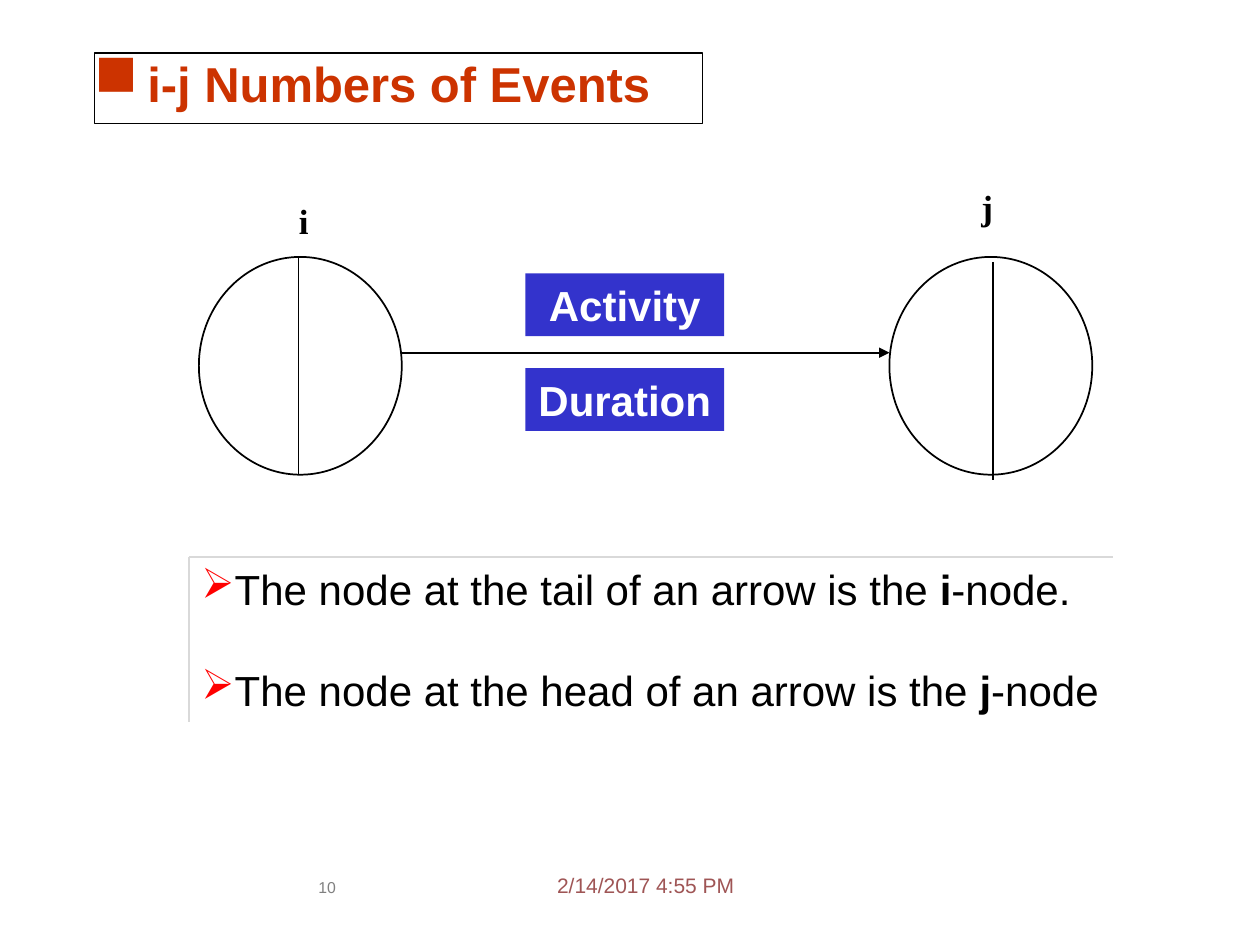
import pptx
import pptx.dml.color
import pptx.enum.shapes
import pptx.enum.text
import pptx.oxml.ns
import pptx.util
from lxml import etree

Cm = pptx.util.Cm
Pt = pptx.util.Pt
RGBColor = pptx.dml.color.RGBColor
Align = pptx.enum.text.PP_ALIGN
Shape = pptx.enum.shapes.MSO_SHAPE
qn = pptx.oxml.ns.qn

BLACK = RGBColor(0x00, 0x00, 0x00)
WHITE = RGBColor(0xFF, 0xFF, 0xFF)
BLUE = RGBColor(0x33, 0x33, 0xCC)
ORANGE = RGBColor(0xCC, 0x33, 0x00)
RED = RGBColor(0xFF, 0x00, 0x00)
ROSE = RGBColor(0x9F, 0x55, 0x55)
GRAY = RGBColor(0x80, 0x80, 0x80)
PALE_GRAY = RGBColor(0xD9, 0xD9, 0xD9)

presentation = pptx.Presentation()
presentation.slide_width = Cm(25.4)
presentation.slide_height = Cm(19.05)
slide = presentation.slides.add_slide(presentation.slide_layouts[6])


def add_box(kind, place, fill=None, line=None, width=0.75, margin=None, wrap=True, paragraphs=()):
    """Add a shape, or a text box if kind is None; paragraphs hold (text, bold) runs and formats."""
    place = [Cm(length) for length in place]
    if kind is None:
        shape = slide.shapes.add_textbox(*place)
    else:
        shape = slide.shapes.add_shape(kind, *place)
        shape.shadow.inherit = False
        if line is None:
            shape.line.fill.background()
        else:
            shape.line.color.rgb = line
            shape.line.width = Pt(width)
    if fill is not None:
        shape.fill.solid()
        shape.fill.fore_color.rgb = fill
    frame = shape.text_frame
    frame.word_wrap = wrap
    frame.vertical_anchor = pptx.enum.text.MSO_ANCHOR.TOP
    if margin is not None:
        for side in ("left", "top", "right", "bottom"):
            setattr(frame, f"margin_{side}", Cm(margin))
    for index, (runs, formats) in enumerate(paragraphs):
        paragraph = frame.add_paragraph() if index else frame.paragraphs[0]
        formats = dict(formats)
        bullet = formats.pop("bullet", None)
        if bullet:
            character, color, percent, indent = bullet
            properties = paragraph._p.get_or_add_pPr()
            properties.set("marL", str(Cm(indent)))
            properties.set("indent", str(-Cm(indent)))
            bullet_color = etree.SubElement(properties, qn("a:buClr"))
            etree.SubElement(bullet_color, qn("a:srgbClr"), val=str(color))
            etree.SubElement(properties, qn("a:buSzPct"), val=str(percent * 1000))
            etree.SubElement(properties, qn("a:buChar"), char=character)
        paragraph.alignment = formats.pop("alignment", Align.LEFT)
        paragraph.space_before = Pt(formats.pop("space_before", 0))
        color = formats.pop("color")
        for text, bold in runs:
            run = paragraph.add_run()
            run.text = text
            run.font.bold = bold
            run.font.color.rgb = color
            for name, value in formats.items():
                setattr(run.font, name, value)


def add_line(start, end, color=BLACK, width=0.75, arrow=False):
    connector = slide.shapes.add_connector(
        pptx.enum.shapes.MSO_CONNECTOR.STRAIGHT, *[Cm(length) for length in start + end])
    connector.line.color.rgb = color
    connector.line.width = Pt(width)
    etree.SubElement(connector._element.spPr, qn("a:effectLst"))
    if arrow:
        etree.SubElement(connector.line._get_or_add_ln(), qn("a:tailEnd"), type="triangle")


# Footer
add_box(None, (11.23, 17.58, 4.24, 0.64), margin=0, wrap=False, paragraphs=[
    ([("2/14/2017 4:55 PM", False)], {"size": Pt(12), "name": "Arial", "color": ROSE})])
add_box(None, (6.1, 17.7, 0.99, 0.86), margin=0, paragraphs=[
    ([("10", False)],
     {"size": Pt(9), "name": "Arial", "color": GRAY, "alignment": Align.CENTER})])

# Title
add_box(Shape.RECTANGLE, (1.9, 1.07, 12.27, 1.42), WHITE, BLACK, margin=0, paragraphs=[
    ([("i-j Numbers of Events", True)],
     {"size": Pt(28), "name": "Arial", "color": ORANGE, "bullet": ("■", ORANGE, 120, 1.07)})])

# Node definitions, with a pale edge at the top and left
note_left, note_top, note_width, note_height = note_place = (3.81, 11.23, 18.62, 3.33)
note_format = {"size": Pt(24), "name": "Arial", "color": BLACK, "bullet": ("➢", RED, 100, 0)}
add_box(Shape.RECTANGLE, note_place, WHITE, wrap=False, paragraphs=[
    ([("The node at the tail of an arrow is the ", False), ("i", True), ("-node.", False)],
     note_format),
    ([("The node at the head of an arrow is the ", False), ("j", True), ("-node", False)],
     {**note_format, "space_before": 29})])
note_corner = (note_left, note_top)
add_line(note_corner, (note_left + note_width, note_top), PALE_GRAY)
add_line(note_corner, (note_left, note_top + note_height), PALE_GRAY)

# Nodes: circle, divider and label
node_top, node_width, node_height = 5.18, 4.09, 4.39
for name, left, divider_x, divider_top, label_place in (
    ("i", 4.01, 6.02, 5.18, (5.26, 3.89, 1.73, 1.19)),
    ("j", 17.93, 20.02, 5.28, (19.05, 3.61, 1.7, 1.47)),
):
    add_box(Shape.OVAL, (left, node_top, node_width, node_height), WHITE, BLACK, width=1)
    add_line((divider_x, divider_top), (divider_x, divider_top + node_height))
    add_box(None, label_place, paragraphs=[
        ([(name, True)], {"size": Pt(20), "name": "Times New Roman", "color": BLACK,
                          "alignment": Align.CENTER})])

# Activity arrow and its labels
add_line((8.1, 7.11), (17.93, 7.11), width=1, arrow=True)
for text, top in (("Activity", 5.51), ("Duration", 7.42)):
    add_box(Shape.RECTANGLE, (10.59, top, 4.01, 1.27), BLUE, wrap=False, paragraphs=[
        ([(text, True)], {"size": Pt(24), "name": "Arial", "color": WHITE,
                          "alignment": Align.CENTER})])

presentation.save("out.pptx")
